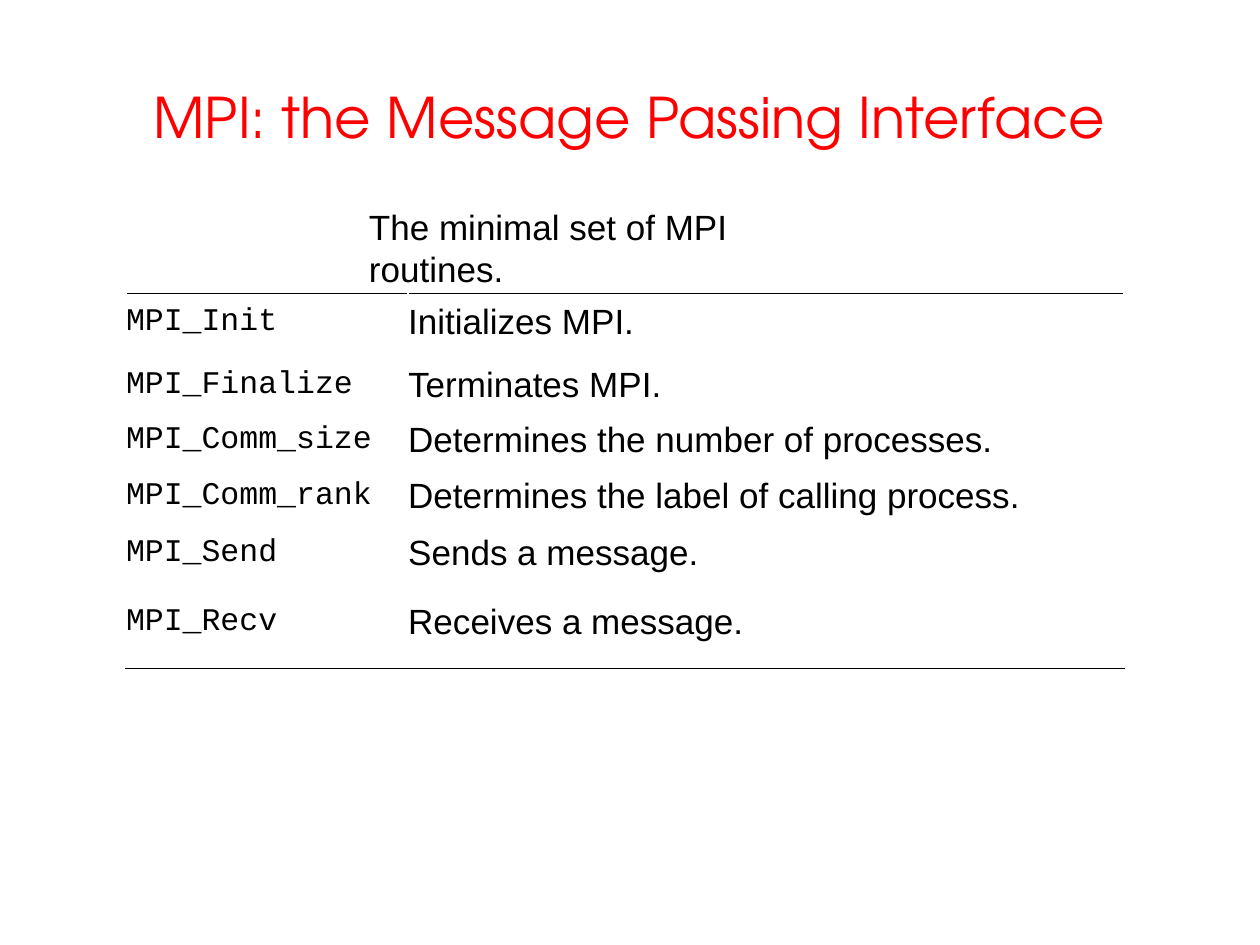
from lxml import etree
from pptx import Presentation
from pptx.dml.color import RGBColor
from pptx.enum.text import MSO_ANCHOR, PP_ALIGN
from pptx.oxml.ns import qn
from pptx.util import Inches, Pt

MIDDLE = MSO_ANCHOR.MIDDLE
TOP = MSO_ANCHOR.TOP
LEFT = PP_ALIGN.LEFT
CENTER = PP_ALIGN.CENTER

WIDTH, HEIGHT = 10, 7.5
BLACK, RED = "000000", "FF0000"
HANGING = 0.38
COLUMN_WIDTHS = [2.24, 5.68]
COLUMN_FONTS = [("Courier New", 18), ("Arial", 20)]
ROUTINES = [
    ("MPI_Init", "Initializes MPI.", 0.45),
    ("MPI_Finalize", "Terminates MPI.", 0.55),
    ("MPI_Comm_size", "Determines the number of processes.", 0.33),
    ("MPI_Comm_rank", "Determines the label of calling process.", 0.55),
    ("MPI_Send", "Sends a message.", 0.36),
    ("MPI_Recv", "Receives a message.", 0.73),
]


def color(value):
    return RGBColor.from_string(value)


def add_span(para, text, font, size, shade=BLACK):
    span = para.add_run()
    span.text = text
    span.font.name = font
    span.font.size = Pt(size)
    span.font.color.rgb = color(shade)


def add_text(page, place, text, font, size, shade, align, anchor):
    box = page.shapes.add_textbox(*[Inches(length) for length in place])
    frame = box.text_frame
    frame.word_wrap = True
    frame.vertical_anchor = anchor
    para = frame.paragraphs[0]
    para.alignment = align
    add_span(para, text, font, size, shade)


def add_border(cell, side):
    properties = cell._tc.get_or_add_tcPr()
    line = etree.Element(qn(f"a:ln{side}"), w=str(Pt(1)))
    fill = etree.SubElement(line, qn("a:solidFill"))
    etree.SubElement(fill, qn("a:srgbClr"), val=BLACK)
    properties.insert(0, line)


def fill_cell(cell, text, font, size):
    cell.fill.background()
    cell.vertical_anchor = MIDDLE
    cell.margin_left = cell.margin_right = 0
    cell.margin_top = cell.margin_bottom = 0
    para = cell.text_frame.paragraphs[0]
    properties = para._p.get_or_add_pPr()
    properties.set("marL", str(Inches(HANGING)))
    properties.set("indent", str(-Inches(HANGING)))
    add_span(para, text, font, size)


def add_routine_table(page, left, top):
    heights = [routine[-1] for routine in ROUTINES]
    frame = page.shapes.add_table(
        len(ROUTINES), len(COLUMN_WIDTHS), Inches(left), Inches(top),
        Inches(sum(COLUMN_WIDTHS)), Inches(sum(heights)))
    table = frame.table
    table.first_row = False
    table.horz_banding = False
    for column, width in zip(table.columns, COLUMN_WIDTHS):
        column.width = Inches(width)
    for row, (name, purpose, height) in zip(table.rows, ROUTINES):
        row.height = Inches(height)
        for cell, text, (font, size) in zip(row.cells, (name, purpose), COLUMN_FONTS):
            fill_cell(cell, text, font, size)
    for index, side in ((0, "T"), (len(ROUTINES) - 1, "B")):
        for cell in table.rows[index].cells:
            add_border(cell, side)


def main():
    deck = Presentation()
    deck.slide_width, deck.slide_height = Inches(WIDTH), Inches(HEIGHT)
    page = deck.slides.add_slide(deck.slide_layouts[6])
    add_text(page, (0.05 * WIDTH, 0.04 * HEIGHT, 0.9 * WIDTH, 1.25),
             "MPI: the Message Passing Interface",
             "TeX Gyre Adventor", 32, RED, CENTER, MIDDLE)
    add_text(page, (2.83, 1.58, 4.18, 0.43),
             "The minimal set of MPI routines.",
             "Arial", 20, BLACK, LEFT, TOP)
    add_routine_table(page, 0.1 * WIDTH, 2.33)
    deck.save("out.pptx")


if __name__ == "__main__":
    main()
